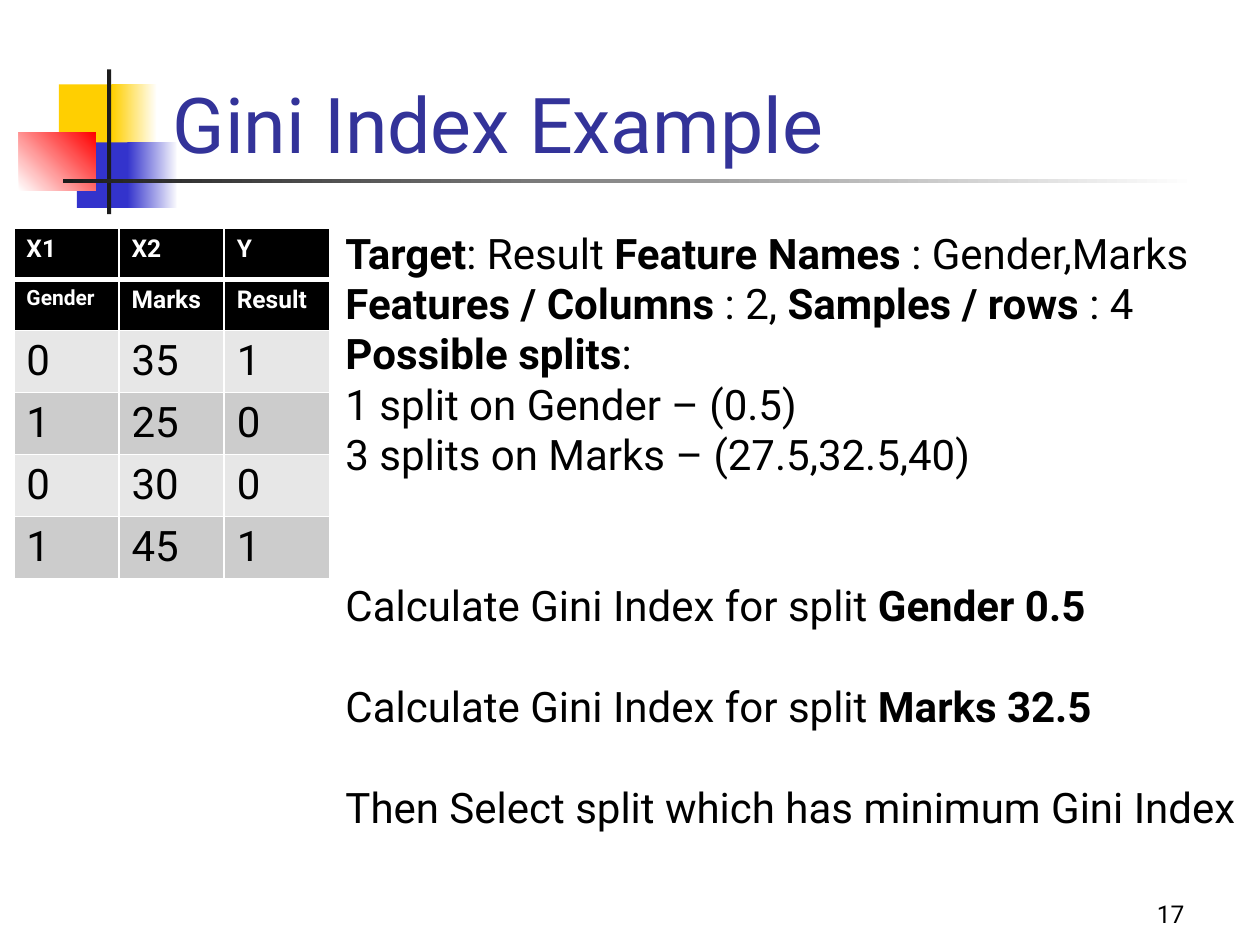
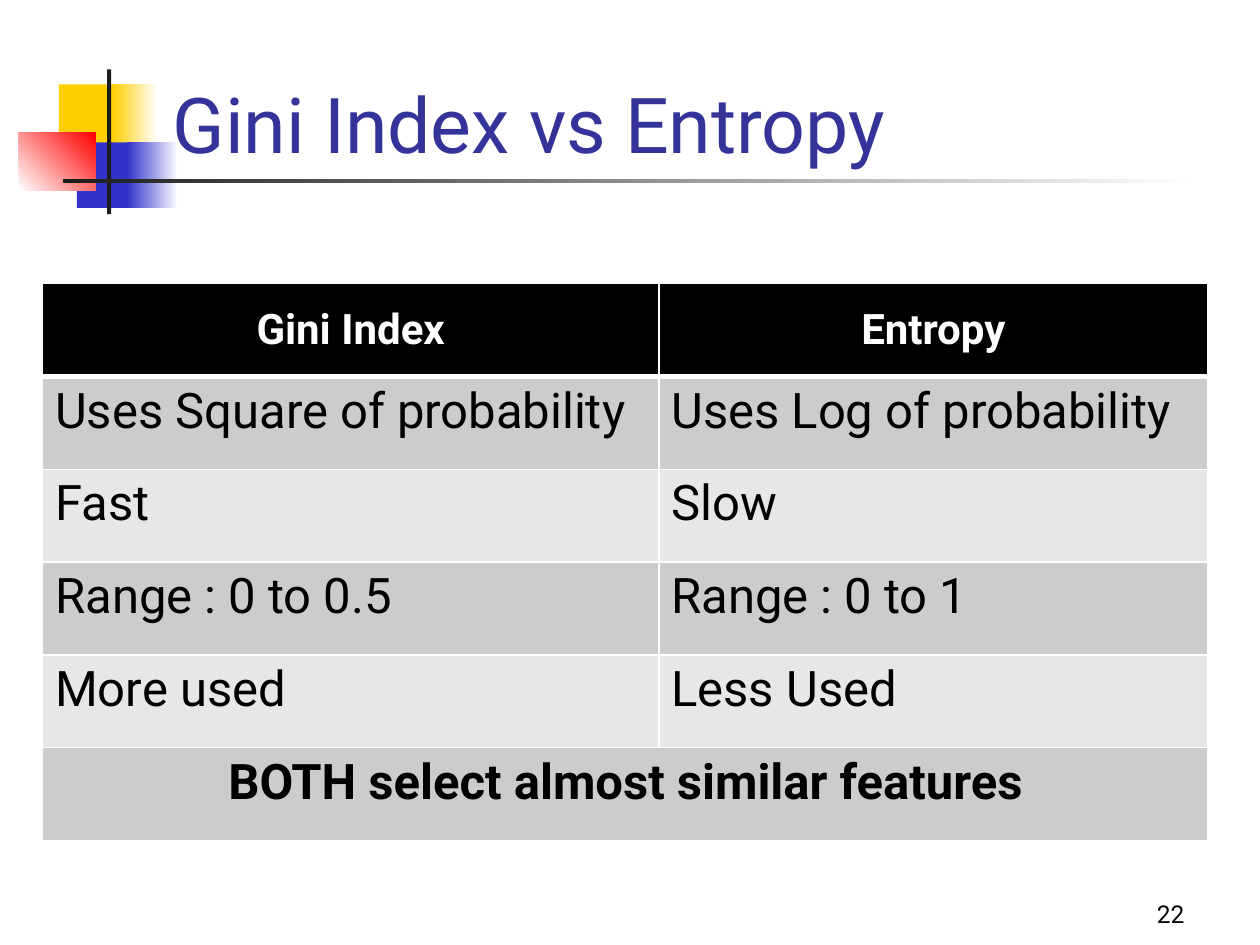
from dataclasses import dataclass

from lxml import etree
from pptx import Presentation
from pptx import util as u
from pptx.dml.color import RGBColor
from pptx.enum import shapes, text
from pptx.oxml import ns

Cm, Pt = u.Cm, u.Pt
LEFT, CENTER, RIGHT = text.PP_ALIGN.LEFT, text.PP_ALIGN.CENTER, text.PP_ALIGN.RIGHT
TOP, MIDDLE, BOTTOM = (text.MSO_ANCHOR.TOP, text.MSO_ANCHOR.MIDDLE,
                       text.MSO_ANCHOR.BOTTOM)


@dataclass(frozen=True)
class Theme:
    font: str = "Roboto"
    # Colours
    title: str = "333399"
    ink: str = "000000"
    paper: str = "FFFFFF"
    yellow: str = "FFCF01"
    blue: str = "3333CC"
    red: str = "FF0000"
    rule: str = "1C1C1C"
    bands: tuple = ("E7E7E7", "CCCCCC")
    # Type sizes
    title_size: int = 44
    table_size: int = 28
    body_size: int = 24
    label_size: int = 14
    small_size: int = 12


THEME = Theme()


def write(paragraph, content, size=THEME.body_size, color=THEME.ink,
          bold=False, align=LEFT, space_before=0):
    """Fill a paragraph; parts between asterisks are bold."""
    paragraph.alignment = align
    paragraph.space_before = Pt(space_before)
    for index, part in enumerate(content.split("*")):
        if part:
            run = paragraph.add_run()
            run.text = part
            run.font.name = THEME.font
            run.font.size = Pt(size)
            run.font.bold = bold or index % 2 == 1
            run.font.color.rgb = RGBColor.from_string(color)


def set_border(cell, side, width):
    properties = cell._tc.get_or_add_tcPr()
    line = etree.SubElement(properties, ns.qn(f"a:ln{side}"), w=str(Pt(width)))
    fill = etree.SubElement(line, ns.qn("a:solidFill"))
    etree.SubElement(fill, ns.qn("a:srgbClr"), val=THEME.paper)


class Deck:
    """Holds the presentation, its theme and the current slide."""

    def __init__(self, theme):
        self.theme = theme
        self.presentation = Presentation()
        self.presentation.slide_width = Cm(25.4)
        self.presentation.slide_height = Cm(19.05)
        self.slide = None

    def add_slide(self, layout, title, number):
        layouts = self.presentation.slide_layouts
        self.slide = self.presentation.slides.add_slide(layouts.get_by_name(layout))
        self.add_ornament()
        self.add_title(title)
        self.add_number(number)

    def add_block(self, left, top, width, height, color, end=None, angle=0):
        block = self.slide.shapes.add_shape(
            shapes.MSO_SHAPE.RECTANGLE, Cm(left), Cm(top), Cm(width), Cm(height))
        block.shadow.inherit = False
        block.line.fill.background()
        if end is None:
            block.fill.solid()
            block.fill.fore_color.rgb = RGBColor.from_string(color)
            return
        block.fill.gradient()
        block.fill.gradient_angle = angle
        for stop, stop_color in zip(block.fill.gradient_stops, (color, end)):
            stop.color.rgb = RGBColor.from_string(stop_color)

    def add_ornament(self):
        t = self.theme
        self.add_block(1.19, 1.7, 1.22, 1.32, t.yellow)
        self.add_block(2.26, 1.7, 0.91, 1.32, t.yellow, t.paper)
        self.add_block(1.55, 2.87, 1.17, 1.32, t.blue)
        self.add_block(2.57, 2.87, 1.02, 1.32, t.blue, t.paper)
        self.add_block(0.38, 2.67, 1.55, 1.17, t.paper, t.red, angle=45)
        self.add_block(2.16, 1.4, 0.08, 2.92, t.rule)
        self.add_block(1.27, 3.61, 22.86, 0.08, t.rule, t.paper)

    def place(self, shape, left, top, width, height, anchor):
        shape.left, shape.top = Cm(left), Cm(top)
        shape.width, shape.height = Cm(width), Cm(height)
        frame = shape.text_frame
        frame.word_wrap = True
        frame.auto_size = text.MSO_AUTO_SIZE.NONE
        frame.vertical_anchor = anchor
        return frame

    def add_title(self, title):
        shape = self.slide.shapes.title
        self.slide.shapes._spTree.append(shape._element)  # in front of the ornament
        frame = self.place(shape, 3.23, 0.36, 21.64, 3.18, BOTTOM)
        write(frame.paragraphs[0], title, size=self.theme.title_size,
              color=self.theme.title)

    def add_number(self, number):
        box = self.slide.shapes.add_textbox(0, 0, 0, 0)
        frame = self.place(box, 18.85, 17.58, 5.28, 1.27, BOTTOM)
        write(frame.paragraphs[0], str(number), size=self.theme.label_size,
              align=RIGHT)

    def add_body(self, lines, left, top, width, height):
        """Lines are (content, space before) pairs."""
        frame = self.place(self.slide.placeholders[1], left, top, width, height, TOP)
        for index, (content, space) in enumerate(lines):
            paragraph = frame.add_paragraph() if index else frame.paragraphs[0]
            properties = paragraph._p.get_or_add_pPr()
            properties.set("marL", "0")
            properties.set("indent", "0")
            etree.SubElement(properties, ns.qn("a:buNone"))
            write(paragraph, content, space_before=space)

    def add_table(self, rows, left, top, widths, row_height, head_format,
                  body_size, head_rows=1, head_anchor=TOP, sizes=None):
        """Rows shorter than the grid are merged across and centred."""
        frame = self.slide.shapes.add_table(
            len(rows), len(widths), Cm(left), Cm(top), Cm(sum(widths)),
            Cm(row_height * len(rows)))
        table = frame.table
        for column, width in zip(table.columns, widths):
            column.width = Cm(width)
        for y, row in enumerate(rows):
            table.rows[y].height = Cm(row_height)
            is_head = y < head_rows
            fill = self.theme.ink if is_head else self.theme.bands[y % 2]
            for x in range(len(widths)):
                cell = table.cell(y, x)
                for side in "LRTB":
                    under_head = (y, side) in ((0, "B"), (1, "T"))
                    set_border(cell, side, 3 if under_head else 1)
                cell.fill.solid()
                cell.fill.fore_color.rgb = RGBColor.from_string(fill)
            if len(row) < len(widths):
                table.cell(y, 0).merge(table.cell(y, len(widths) - 1))
            for x, content in enumerate(row):
                cell = table.cell(y, x)
                cell.vertical_anchor = head_anchor if is_head else TOP
                style = {"size": body_size}
                if is_head:
                    style = {"color": self.theme.paper, "bold": True, **head_format}
                elif len(row) < len(widths):
                    style["align"] = CENTER
                if sizes and content in sizes:
                    style["size"] = sizes[content]
                write(cell.text_frame.paragraphs[0], content, **style)


def main():
    deck = Deck(THEME)

    # Gini index example: sample data beside the steps
    deck.add_slide("Title and Content", "Gini Index Example", 17)
    samples = [
        ("X1", "X2", "Y"),
        ("Gender", "Marks", "Result"),
        ("0", "35", "1"),
        ("1", "25", "0"),
        ("0", "30", "0"),
        ("1", "45", "1"),
    ]
    deck.add_table(samples, 0.28, 4.6, [2.12] * 3, 1.03, head_rows=2,
                   head_format={"size": THEME.label_size},
                   body_size=THEME.body_size, sizes={"Gender": THEME.small_size})
    line_step = 28.8
    deck.add_body([
        ("*Target*: Result *Feature Names *: Gender,Marks", 0),
        ("*Features / Columns *: 2, *Samples / rows *: 4", 0),
        ("*Possible splits*:", 0),
        ("1 split on Gender – (0.5)", 0),
        ("3 splits on Marks – (27.5,32.5,40)", 0),
        ("Calculate Gini Index for split *Gender 0.5*", 2 * line_step),
        ("Calculate Gini Index for split *Marks 32.5*", line_step),
        ("Then Select split which has minimum Gini Index", line_step),
    ], 6.71, 4.45, 18.69, 12.57)

    # Comparison of the two measures
    deck.add_slide("Title Only", "Gini Index vs Entropy", 22)
    comparison = [
        ("Gini Index", "Entropy"),
        ("Uses Square of probability", "Uses Log of probability"),
        ("Fast", "Slow"),
        ("Range : 0 to 0.5", "Range : 0 to 1"),
        ("More used", "Less Used"),
        ("*BOTH select almost similar features*",),
    ]
    deck.add_table(comparison, 0.86, 5.72, [12.42, 11.07], 1.87,
                   head_format={"size": THEME.body_size, "align": CENTER},
                   body_size=THEME.table_size, head_anchor=MIDDLE)

    deck.presentation.save("out.pptx")


if __name__ == "__main__":
    main()
